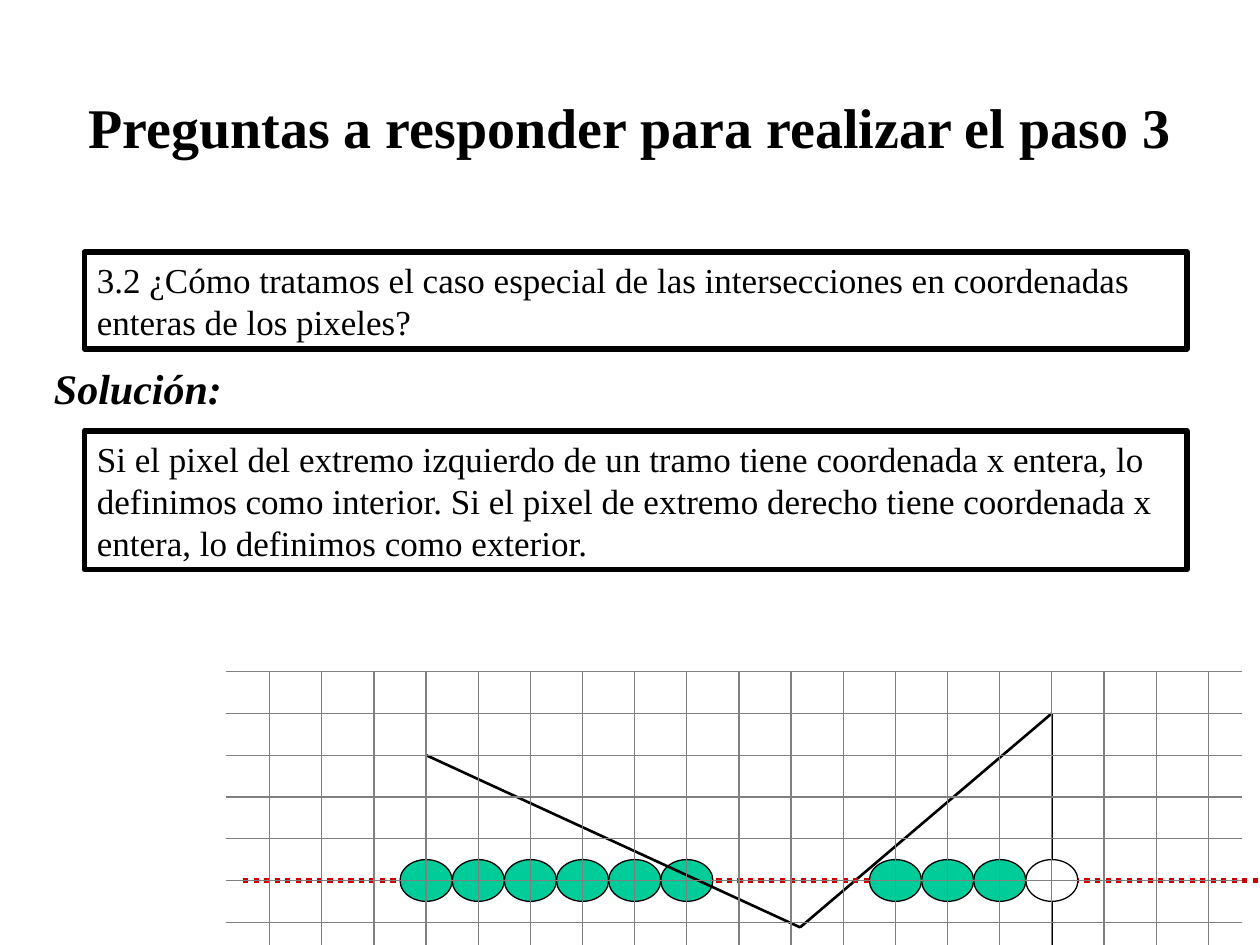
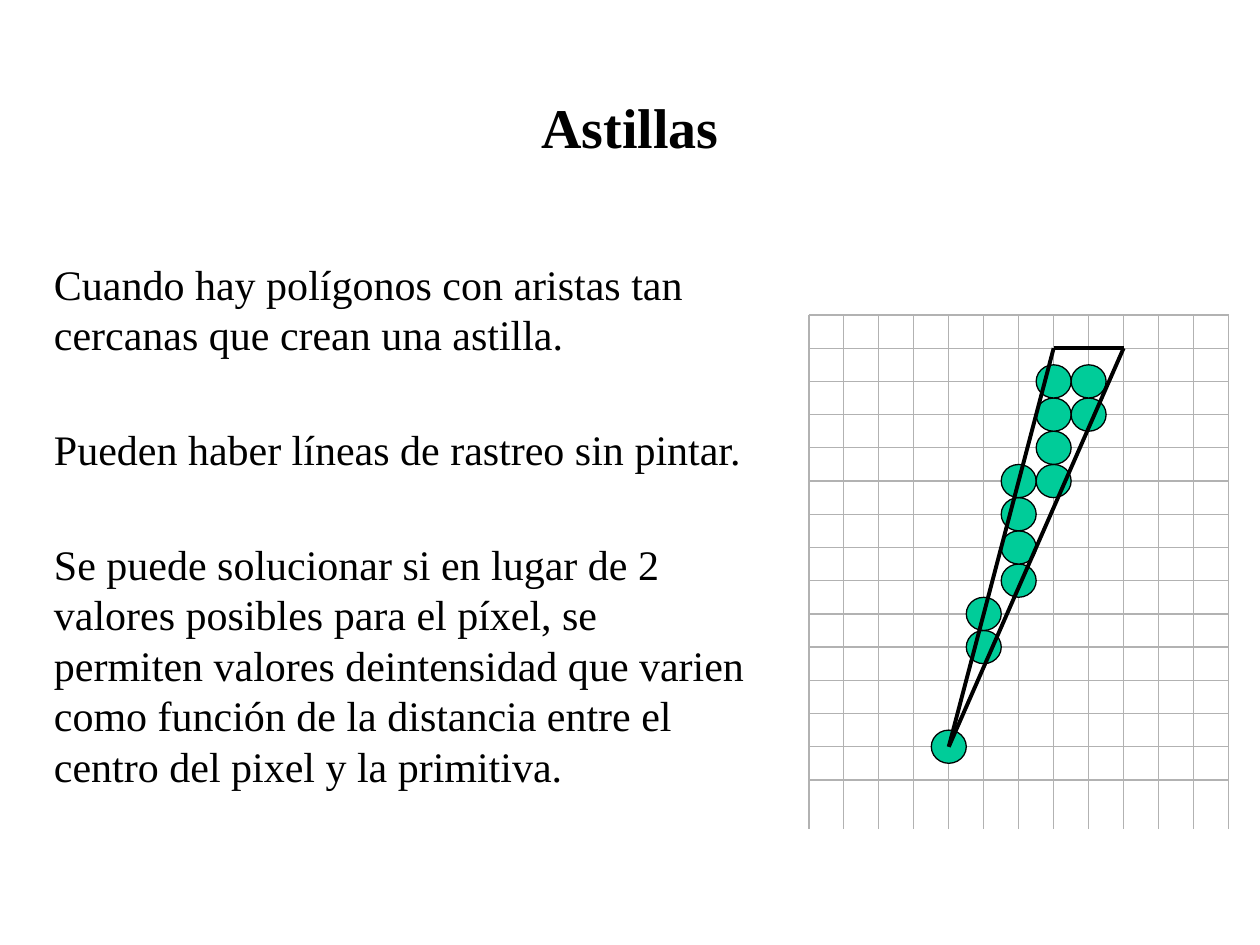
import pptx
import pptx.dml.color
import pptx.enum.dml
import pptx.enum.shapes
import pptx.enum.text
import pptx.oxml.ns
import pptx.util
from lxml import etree

Inches = pptx.util.Inches
Pt = pptx.util.Pt
RGBColor = pptx.dml.color.RGBColor

BLACK = RGBColor(0x00, 0x00, 0x00)
WHITE = RGBColor(0xFF, 0xFF, 0xFF)
GREEN = RGBColor(0x00, 0xCC, 0x99)
RED = RGBColor(0xCC, 0x00, 0x00)
GRAY = RGBColor(0x80, 0x80, 0x80)
LIGHT_GRAY = RGBColor(0xB2, 0xB2, 0xB2)
FONT = "Times New Roman"


def draw_line(slide, start, end, color, width):
    line = slide.shapes.add_connector(
        pptx.enum.shapes.MSO_CONNECTOR.STRAIGHT,
        *(Inches(value) for value in (*start, *end)))
    line.line.color.rgb = color
    line.line.width = Pt(width)
    properties = line._element.spPr
    etree.SubElement(properties, pptx.oxml.ns.qn("a:effectLst"))
    return line


def draw_pixel(slide, center, size, color):
    """Draw one pixel as an ellipse that fills a grid cell around its center."""
    (x, y), (width, height) = center, size
    pixel = slide.shapes.add_shape(
        pptx.enum.shapes.MSO_SHAPE.OVAL, Inches(x - width / 2),
        Inches(y - height / 2), Inches(width), Inches(height))
    pixel.shadow.inherit = False
    pixel.fill.solid()
    pixel.fill.fore_color.rgb = color
    pixel.line.color.rgb = BLACK
    pixel.line.width = Pt(0.75)


presentation = pptx.Presentation()
presentation.slide_width = Inches(10)
presentation.slide_height = Inches(7.5)
blank = presentation.slide_layouts[6]
special_case = presentation.slides.add_slide(blank)
slivers = presentation.slides.add_slide(blank)

# Titles
for slide, title in (
        (special_case, "Preguntas a responder para realizar el paso 3"),
        (slivers, "Astillas")):
    heading = slide.shapes.add_textbox(0, Inches(0.5), Inches(10), Inches(1))
    frame = heading.text_frame
    frame.word_wrap = True
    frame.vertical_anchor = pptx.enum.text.MSO_ANCHOR.MIDDLE
    paragraph = frame.paragraphs[0]
    paragraph.text = title
    paragraph.alignment = pptx.enum.text.PP_ALIGN.CENTER
    paragraph.font.name = FONT
    paragraph.font.size = Pt(32)
    paragraph.font.bold = True
    paragraph.font.color.rgb = BLACK

# Slide 1: framed question and answer
for top, height, text in (
        (2, 0.77, "3.2 ¿Cómo tratamos el caso especial de las intersecciones "
                  "en coordenadas enteras de los pixeles?"),
        (3.42, 1.1, "Si el pixel del extremo izquierdo de un tramo tiene "
                    "coordenada x entera, lo definimos como interior. Si el "
                    "pixel de extremo derecho tiene coordenada x entera, lo "
                    "definimos como exterior.")):
    box = special_case.shapes.add_shape(
        pptx.enum.shapes.MSO_SHAPE.RECTANGLE,
        Inches(0.67), Inches(top), Inches(8.75), Inches(height))
    box.shadow.inherit = False
    box.fill.solid()
    box.fill.fore_color.rgb = WHITE
    box.line.color.rgb = BLACK
    box.line.width = Pt(3)
    frame = box.text_frame
    frame.word_wrap = True
    frame.vertical_anchor = pptx.enum.text.MSO_ANCHOR.TOP
    paragraph = frame.paragraphs[0]
    paragraph.text = text
    paragraph.alignment = pptx.enum.text.PP_ALIGN.LEFT
    paragraph.font.name = FONT
    paragraph.font.size = Pt(20)
    paragraph.font.color.rgb = BLACK

# Unframed text of both slides
for slide, top, width, height, emphasis, texts in (
        (special_case, 2.83, 3.08, 0.5, True, ["Solución:"]),
        (slivers, 2, 5.75, 4.33, None, [
            "Cuando hay polígonos con aristas tan cercanas que crean una "
            "astilla.",
            "Pueden haber líneas de rastreo sin pintar.",
            "Se puede solucionar si en lugar de 2 valores posibles para el "
            "píxel, se permiten valores deintensidad que varien como función "
            "de la distancia entre el centro del pixel y la primitiva."])):
    body = slide.shapes.add_textbox(
        Inches(0.33), Inches(top), Inches(width), Inches(height))
    frame = body.text_frame
    frame.word_wrap = True
    for index, text in enumerate(texts):
        paragraph = frame.add_paragraph() if index else frame.paragraphs[0]
        paragraph.text = text
        paragraph.space_before = Pt(36.9 if index else 15)
        paragraph.font.name = FONT
        paragraph.font.size = Pt(24)
        paragraph.font.bold = emphasis
        paragraph.font.italic = emphasis
        paragraph.font.color.rgb = BLACK

# Slide 1: scan line across the polygon, with the grid on top
cell = ((9.59 - 2.14) / 18, (7.32 - 5.33) / 6)
columns = [2.14 + cell[0] * i for i in range(19)]
rows = [5.33 + cell[1] * i for i in range(7)]
scan_y = rows[5]
left_peak = (columns[3], rows[2])
right_peak = (columns[15], rows[1])
valley = (6.35, 7.36)

for start, end in ((left_peak, (columns[3], 7.5)),
                   (valley, right_peak),
                   (right_peak, (columns[15], 7.5))):
    draw_line(special_case, start, end, BLACK, 1.5)
scan_line = draw_line(special_case, (1.93, scan_y), (10, scan_y), RED, 3)
scan_line.line.dash_style = pptx.enum.dml.MSO_LINE.ROUND_DOT
for column in (3, 4, 5, 6, 7, 8, 14, 13, 12):
    draw_pixel(special_case, (columns[column], scan_y), cell, GREEN)
draw_pixel(special_case, (columns[15], scan_y), cell, WHITE)
draw_line(special_case, left_peak, valley, BLACK, 1.5)
for x in columns:
    draw_line(special_case, (x, rows[0]), (x, 7.5), GRAY, 0.75)
for y in rows:
    draw_line(special_case, (1.79, y), (9.86, y), GRAY, 0.75)

# Slide 2: sliver polygon over its grid
cell = ((9.75 - 6.42) / 12, (6.19 - 2.5) / 14)
columns = [6.42 + cell[0] * i for i in range(13)]
rows = [2.5 + cell[1] * i for i in range(15)]
tip = (columns[4], rows[
    13])
top_left = (columns[7], rows[1])
top_right = (columns[9], rows[1])

for x in columns:
    draw_line(slivers, (x, rows[0]), (x, 6.58), LIGHT_GRAY, 0.75)
for y in rows:
    draw_line(slivers, (columns[0], y), (columns[-1], y), LIGHT_GRAY, 0.75)
draw_line(slivers, top_left, top_right, BLACK, 2.25)
for column, painted_rows in ((4, [13]), (5, [10, 9]), (6, [8, 7, 6, 5]),
                             (7, [5, 4, 3, 2]), (8, [3, 2])):
    for row in painted_rows:
        draw_pixel(slivers, (columns[column], rows[row]), cell, GREEN)
for corner in (top_right, top_left):
    draw_line(slivers, tip, corner, BLACK, 2.25)

presentation.save("out.pptx")
